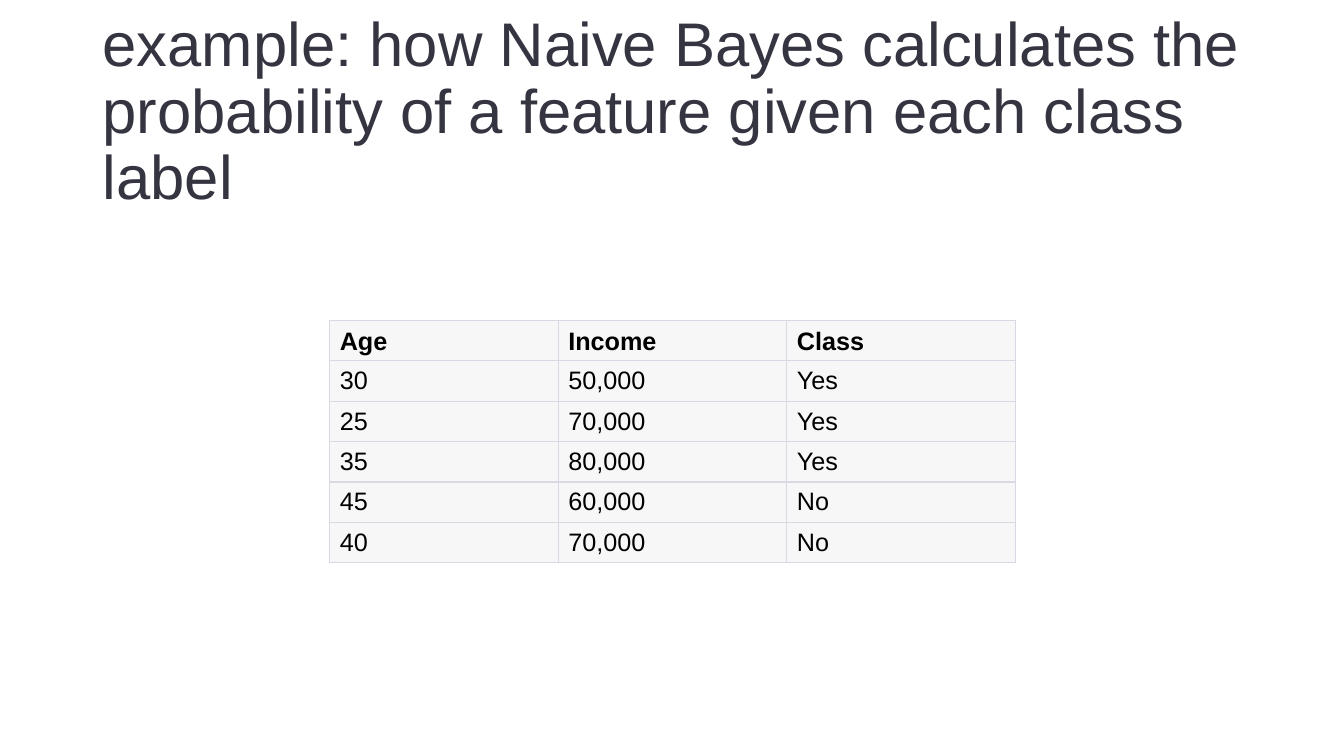
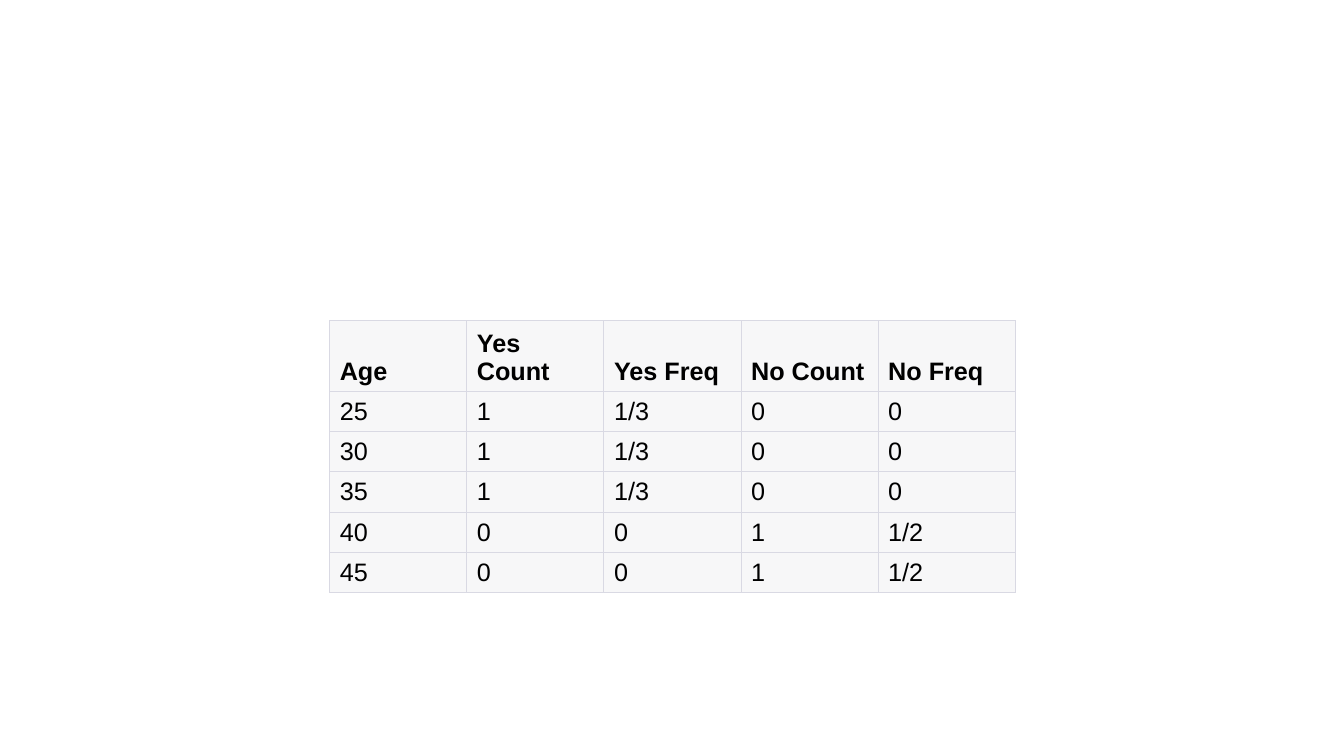
from lxml import etree
from pptx import Presentation
from pptx import util as u
from pptx.dml import color
from pptx.enum import text
from pptx.oxml import ns

AGE_RECORDS = [
    ["Age", "Income", "Class"],
    ["30", "50,000", "Yes"],
    ["25", "70,000", "Yes"],
    ["35", "80,000", "Yes"],
    ["45", "60,000", "No"],
    ["40", "70,000", "No"],
]
AGE_FREQUENCIES = [
    ["Age", "Yes Count", "Yes Freq", "No Count", "No Freq"],
    ["25", "1", "1/3", "0", "0"],
    ["30", "1", "1/3", "0", "0"],
    ["35", "1", "1/3", "0", "0"],
    ["40", "0", "0", "1", "1/2"],
    ["45", "0", "0", "1", "1/2"],
]


def rgb(value):
    return color.RGBColor.from_string(value)


class Deck:
    """Hold the shared style and the current slide."""

    font = "Arial"
    title_color = "343541"
    table_color = "000000"
    cell_fill = "F7F7F8"
    border_color = "D9D9E3"
    table_width = 6.8
    row_height = 0.25

    def __init__(self):
        self.deck = Presentation()
        self.deck.slide_width = u.Inches(13.33)
        self.deck.slide_height = u.Inches(7.5)
        self.page = None

    def add_page(self):
        self.page = self.deck.slides.add_slide(self.deck.slide_layouts[6])

    def add_span(self, para, words, size, fill, bold=False):
        span = para.add_run()
        span.text = words
        span.font.name = self.font
        span.font.size = u.Pt(size)
        span.font.bold = bold
        span.font.color.rgb = rgb(fill)

    def title(self, words):
        box = self.page.shapes.add_textbox(
            u.Inches(0.92), u.Inches(0.4), u.Inches(11.5), u.Inches(1.45)
        )
        frame = box.text_frame
        frame.word_wrap = True
        frame.vertical_anchor = text.MSO_ANCHOR.MIDDLE
        para = frame.paragraphs[0]
        para.line_spacing = 0.9
        self.add_span(para, words, 44, self.title_color)

    def border(self, cell, side, width):
        properties = cell._tc.get_or_add_tcPr()
        line = etree.SubElement(properties, ns.qn("a:ln" + side), w=str(u.Pt(width)))
        fill = etree.SubElement(line, ns.qn("a:solidFill"))
        etree.SubElement(fill, ns.qn("a:srgbClr"), val=self.border_color)

    def table(self, rows):
        count = len(rows[0])
        table = self.page.shapes.add_table(
            len(rows), count, u.Inches(3.27), u.Inches(3.18),
            u.Inches(self.table_width), u.Inches(self.row_height * len(rows)),
        ).table
        table.horz_banding = False
        for column in table.columns:
            column.width = u.Inches(self.table_width / count)
        last = len(rows) - 1
        for row_index, row in enumerate(rows):
            header = row_index == 0
            for column_index, words in enumerate(row):
                cell = table.cell(row_index, column_index)
                self.border(cell, "L", 0.75)
                self.border(cell, "R", 0.75)
                self.border(cell, "T", 0.75 if header else 1)
                self.border(cell, "B", 0.75 if row_index == last else 1)
                cell.fill.solid()
                cell.fill.fore_color.rgb = rgb(self.cell_fill)
                anchor = text.MSO_ANCHOR.BOTTOM if header else text.MSO_ANCHOR.MIDDLE
                cell.vertical_anchor = anchor
                para = cell.text_frame.paragraphs[0]
                self.add_span(para, words, 18, self.table_color, header)


def main():
    slides = Deck()
    slides.add_page()
    slides.title(
        "example: how Naive Bayes calculates the probability "
        "of a feature given each class label"
    )
    slides.table(AGE_RECORDS)
    slides.add_page()
    slides.table(AGE_FREQUENCIES)
    slides.deck.save("out.pptx")


if __name__ == "__main__":
    main()
